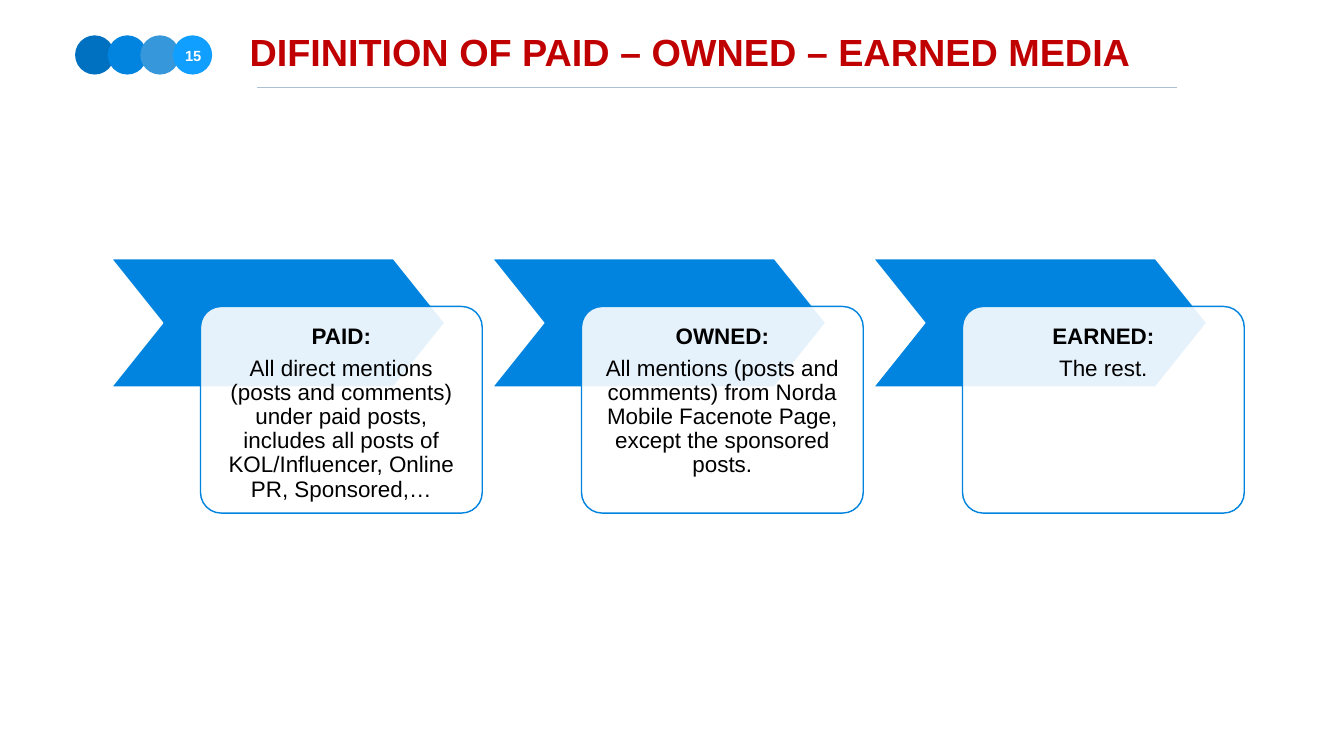
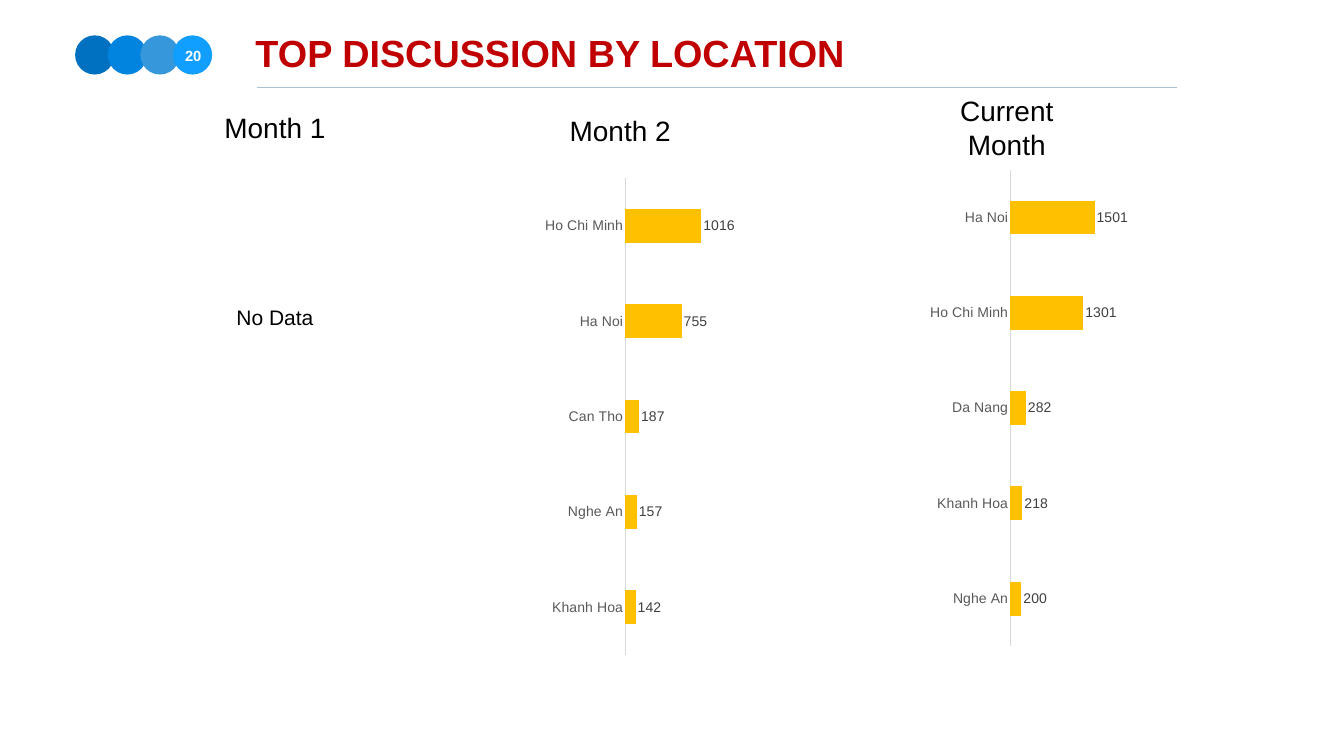
from dataclasses import dataclass
from lxml.etree import SubElement
from pptx import Presentation
from pptx.chart.data import CategoryChartData
from pptx.dml.color import RGBColor
from pptx.enum.chart import XL_CHART_TYPE, XL_LABEL_POSITION, XL_TICK_MARK
from pptx.enum.shapes import MSO_CONNECTOR, MSO_SHAPE
from pptx.enum.text import MSO_ANCHOR, PP_ALIGN
from pptx.oxml import parse_xml
from pptx.oxml.ns import nsdecls, qn
from pptx.util import Pt


@dataclass(frozen=True)
class Theme:
    font: str = "Arial"
    red: str = "C00000"
    blue: str = "0084DF"
    dots: tuple = ("0070C0", "0084DF", "3698DA", "119FFF")
    rule: str = "ACC0D4"
    gold: str = "FFC000"
    axis: str = "D9D9D9"
    gray: str = "595959"
    dark: str = "404040"
    black: str = "000000"
    white: str = "FFFFFF"
    title: int = 54
    page: int = 21
    head: int = 40
    note: int = 30
    body: int = 32
    label: int = 20


theme = Theme()


def paint(slide, kind, box, fill, line=None, adj=None):
    shape = slide.shapes.add_shape(kind, *map(Pt, box))
    shape.shadow.inherit = False
    shape.fill.solid()
    shape.fill.fore_color.rgb = RGBColor.from_string(fill)
    if line:
        shape.line.color.rgb = RGBColor.from_string(line)
        shape.line.width = Pt(2)
    else:
        shape.line.fill.background()
    if adj:
        shape.adjustments[0] = adj
    return shape


def write(shape, lines, size, color, align=PP_ALIGN.CENTER,
          anchor=MSO_ANCHOR.TOP, inset=4.5, wrap=True):
    """Fill a shape with (text, bold) lines and return its paragraphs."""
    frame = shape.text_frame
    frame.word_wrap = wrap
    frame.vertical_anchor = anchor
    frame.margin_left = frame.margin_right = Pt(inset)
    frame.margin_top = frame.margin_bottom = Pt(inset)
    for i, (text, bold) in enumerate(lines):
        para = frame.add_paragraph() if i else frame.paragraphs[0]
        para.alignment = align
        run = para.add_run()
        run.text = text
        run.font.name = theme.font
        run.font.size = Pt(size)
        run.font.bold = bold
        run.font.color.rgb = RGBColor.from_string(color)
    return frame.paragraphs


deck = Presentation()
deck.slide_width, deck.slide_height = Pt(1920), Pt(1080)

# Shared header: dots, page number, title and rule
pages = []
for title, page, left, top in (
    ("DIFINITION OF PAID – OWNED – EARNED MEDIA", "15", 352, 36),
    ("TOP DISCUSSION BY LOCATION", "20", 360.5, 37.5),
):
    slide = deck.slides.add_slide(deck.slide_layouts[6])
    pages.append(slide)
    for i, color in enumerate(theme.dots):
        paint(slide, MSO_SHAPE.OVAL, (107.3 + 46.6 * i, 50.5, 56, 56), color)
    rule = slide.shapes.add_connector(
        MSO_CONNECTOR.STRAIGHT, Pt(366.5), Pt(125.3), Pt(1682), Pt(125.3))
    rule.line.color.rgb = RGBColor.from_string(theme.rule)
    rule.line.width = Pt(2)
    SubElement(rule._element.spPr, qn("a:effectLst"))
    box = slide.shapes.add_textbox(Pt(left), Pt(top), Pt(1449), Pt(89))
    write(box, [(title, True)], theme.title, theme.red, PP_ALIGN.LEFT)
    box = slide.shapes.add_textbox(Pt(259), Pt(62), Pt(34), Pt(34))
    write(box, [(page, True)], theme.page, theme.white, wrap=False)

media, places = pages

# Chevrons with definition cards
for i, (name, text) in enumerate((
    ("PAID:", "All direct mentions (posts and comments) under paid posts, "
              "includes all posts of KOL/Influencer, Online PR, Sponsored,…"),
    ("OWNED:", "All mentions (posts and comments) from Norda Mobile "
               "Facenote Page, except the sponsored posts."),
    ("EARNED:", "The rest."),
)):
    left = 159 + 544.3 * i
    paint(media, MSO_SHAPE.CHEVRON, (left, 369.5, 476.6, 183.6),
          theme.blue, theme.white, 0.4)
    card = paint(media, MSO_SHAPE.ROUNDED_RECTANGLE,
                 (left + 127.4, 437.8, 402.5, 295.2),
                 theme.white, theme.blue, 0.1)
    tint = card._element.spPr.find(qn("a:solidFill"))[0]
    SubElement(tint, qn("a:alpha"), val="90000")
    for para in write(card, [(name, True), (text, False)],
                      theme.body, theme.black, inset=18):
        para.line_spacing = 0.9
        para.space_after = Pt(10.5)

# Month headings and the empty month
for text, size, left, top, width, height in (
    ("Month 1", theme.head, 276.5, 154, 232.5, 57),
    ("Month 2", theme.head, 769.7, 157.7, 232.5, 57),
    ("Current Month", theme.head, 1322, 129.6, 232.5, 105),
    ("No Data", theme.note, 237.6, 431.3, 310.3, 44.6),
):
    box = places.shapes.add_textbox(Pt(left), Pt(top), Pt(width), Pt(height))
    write(box, [(text, False)], size, theme.black, anchor=MSO_ANCHOR.MIDDLE)

# Mentions by city, smallest first because bars run from the bottom up
plan = "".join(f'<c:{tag} val="{val}"/>' for tag, val in (
    ("layoutTarget", "inner"), ("xMode", "edge"), ("yMode", "edge"),
    ("x", 0.437), ("y", 0.003), ("w", 0.392), ("h", 0.984)))
for left, top, peak, counts in (
    (749.5, 252.7, 1200, {"Khanh Hoa": 142, "Nghe An": 157, "Can Tho": 187,
                          "Ha Noi": 755, "Ho Chi Minh": 1016}),
    (1299.6, 240.5, 1600, {"Nghe An": 200, "Khanh Hoa": 218, "Da Nang": 282,
                           "Ho Chi Minh": 1301, "Ha Noi": 1501}),
):
    data = CategoryChartData()
    data.categories = list(counts)
    data.add_series("Series 1", list(counts.values()))
    chart = places.shapes.add_chart(
        XL_CHART_TYPE.BAR_CLUSTERED, Pt(left), Pt(top), Pt(328.3), Pt(692),
        data).chart
    chart.has_legend = chart.has_title = False
    chart.font.name = theme.font
    chart.font.size = Pt(10)
    chart.font.color.rgb = RGBColor.from_string(theme.black)

    scale = chart.value_axis
    scale.visible = False
    scale.has_major_gridlines = False
    scale.minimum_scale, scale.maximum_scale = 0, peak
    axis = chart.category_axis
    axis.major_tick_mark = XL_TICK_MARK.NONE
    axis.format.line.color.rgb = RGBColor.from_string(theme.axis)
    axis.format.line.width = Pt(0.75)

    plot = chart.plots[0]
    plot.gap_width = 182
    plot.vary_by_categories = False
    bars = plot.series[0].format.fill
    bars.solid()
    bars.fore_color.rgb = RGBColor.from_string(theme.gold)
    plot.has_data_labels = True
    labels = plot.data_labels
    labels.show_value = True
    labels.position = XL_LABEL_POSITION.OUTSIDE_END
    for font, color in ((axis.tick_labels.font, theme.gray),
                        (labels.font, theme.dark)):
        font.name = theme.font
        font.size = Pt(theme.label)
        font.color.rgb = RGBColor.from_string(color)

    area = chart._chartSpace.chart.plotArea
    for old in area.findall(qn("c:layout")):
        area.remove(old)
    area.insert(0, parse_xml(
        f'<c:layout {nsdecls("c")}><c:manualLayout>{plan}'
        '</c:manualLayout></c:layout>'))

deck.save("out.pptx")
